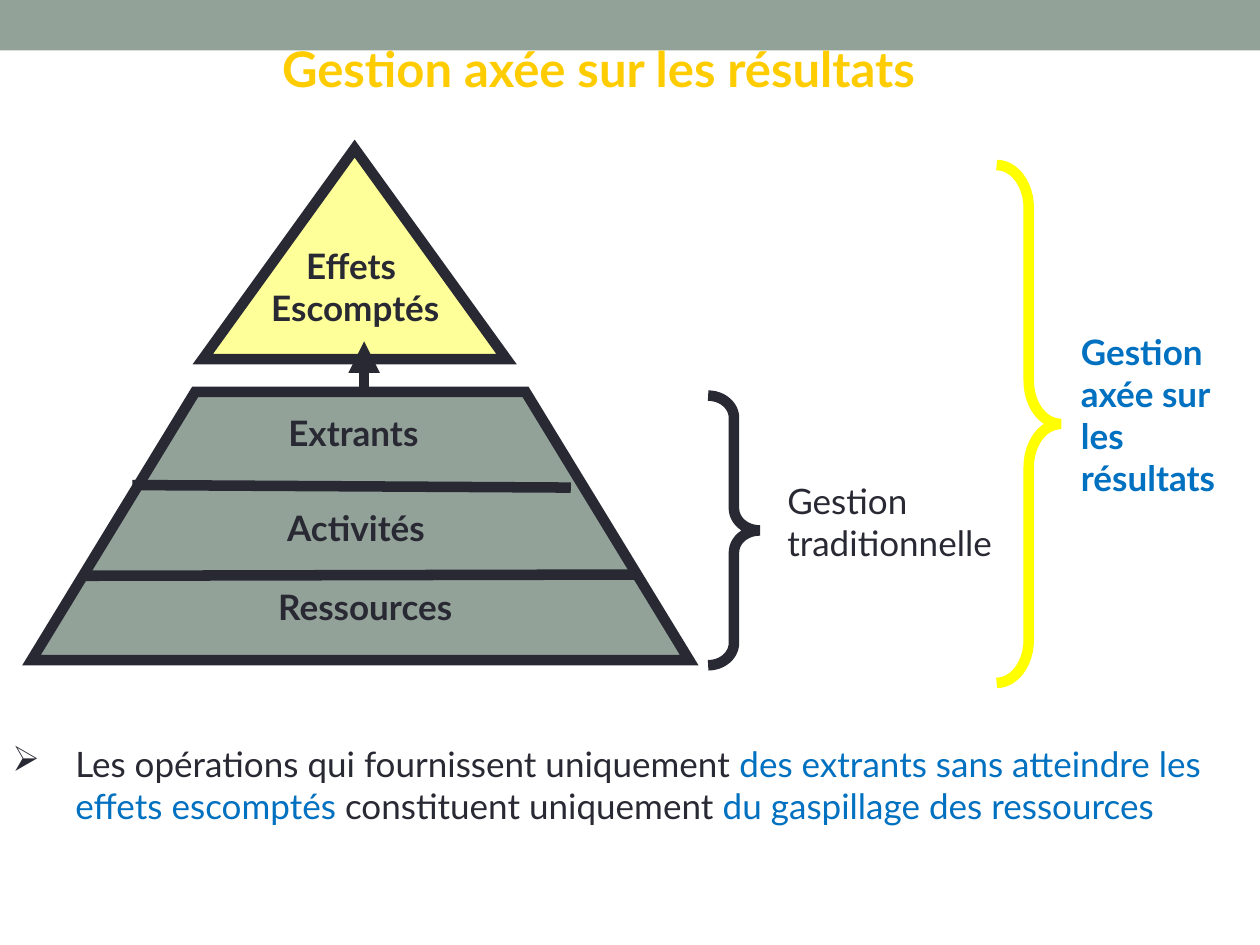
from lxml import etree
from pptx import Presentation
from pptx.dml.color import RGBColor
from pptx.enum.shapes import MSO_CONNECTOR as CONN, MSO_SHAPE as SHAPE
from pptx.enum.text import PP_ALIGN as ALIGN
from pptx.oxml.ns import qn
from pptx.util import Inches, Pt

FONT = "Lato"
DARK, SAGE, BLUE = "292934", "93A299", "0070C0"
GOLD, PALE, YELLOW = "FFCC00", "FFFF99", "FFFF00"


def rgb(color):
    return RGBColor.from_string(color)


def add_child(parent, tag, **attrs):
    return etree.SubElement(parent, qn(tag), attrs)


def set_line(sp, color):
    sp.line.color.rgb = rgb(color)
    sp.line.width = Pt(6)
    add_child(sp.line._ln, "a:miter", lim="800000")


def add_shape(s, kind, x, y, w, h, fill=None, line=None, adjustments=()):
    sp = s.shapes.add_shape(kind, Inches(x), Inches(y), Inches(w), Inches(h))
    sp.shadow.inherit = False
    for i, value in enumerate(adjustments):
        sp.adjustments[i] = value
    if fill:
        sp.fill.solid()
        sp.fill.fore_color.rgb = rgb(fill)
    else:
        sp.fill.background()
    if line:
        set_line(sp, line)
    else:
        sp.line.fill.background()
    return sp


def add_line(s, x1, y1, x2, y2, arrow=False):
    line = s.shapes.add_connector(
        CONN.STRAIGHT, Inches(x1), Inches(y1), Inches(x2), Inches(y2))
    set_line(line, DARK)
    if arrow:
        add_child(line.line._ln, "a:tailEnd", type="triangle")
    add_child(line._element.spPr, "a:effectLst")


def style(p, color, size=20, bold=False):
    p.font.name = FONT
    p.font.size = Pt(size)
    p.font.bold = bold
    p.font.color.rgb = rgb(color)


def add_text(s, lines, x, y, w, h, color=DARK, size=20, bold=False, align=ALIGN.LEFT):
    tf = s.shapes.add_textbox(Inches(x), Inches(y), Inches(w), Inches(h)).text_frame
    tf.word_wrap = True
    for i, text in enumerate(lines):
        p = tf.add_paragraph() if i else tf.paragraphs[0]
        p.text = text
        p.alignment = align
        style(p, color, size, bold)


def add_header(s, x, y, w):
    add_shape(s, SHAPE.RECTANGLE, x, y, w, 0.4, SAGE)
    add_text(s, ["Gestion axée sur les résultats"], x + 2.14, y + 0.26, 5.91, 0.57,
             GOLD, 28, True)


def add_pyramid(s, x, y, w, h):
    # Base with three levels, and the detached top
    base_h = 2.13
    base_y = y + h - base_h
    add_shape(s, SHAPE.TRAPEZOID, x, base_y, w, base_h, SAGE, DARK, [0.61])
    add_shape(s, SHAPE.ISOSCELES_TRIANGLE, x + 1.36, y, 2.41, 1.67, PALE, DARK)

    for label, dx, dy in (("Extrants", 1.94, 0.11), ("Activités", 1.93, 0.86),
                          ("Ressources", 1.86, 1.49)):
        add_text(s, [label], x + dx, base_y + dy, 1.75, 0.44, bold=True)
    add_text(s, ["Effets ", "Escomptés"], x + 1.73, y + 0.71, 1.68, 0.77,
             bold=True, align=ALIGN.CENTER)

    # Level dividers and the arrow up to the effects
    add_line(s, x + 0.8, base_y + 0.74, x + 4.28, base_y + 0.76)
    add_line(s, x + 0.4, base_y + 1.46, x + 4.78, base_y + 1.45)
    add_line(s, x + 2.64, base_y - 0.02, x + 2.64, base_y - 0.4, arrow=True)


def add_brace(s, x, y, w, h, color, curve):
    add_shape(s, SHAPE.RIGHT_BRACE, x, y, w, h, line=color, adjustments=[curve, 0.5])


def add_scopes(s, x, y):
    add_brace(s, x, y + 1.83, 0.41, 2.14, DARK, 0.43)
    add_text(s, ["Gestion", "traditionnelle"], x + 0.53, y + 2.45, 2.19, 0.77)
    add_brace(s, x + 2.29, y, 0.51, 4.11, YELLOW, 0.67)
    add_text(s, ["Gestion", "axée sur les résultats"], x + 2.86, y + 1.26, 1.52, 1.44,
             BLUE, bold=True)


def add_conclusion(s, x, y, w, h):
    tf = s.shapes.add_textbox(Inches(x), Inches(y), Inches(w), Inches(h)).text_frame
    tf.word_wrap = True
    p = tf.paragraphs[0]
    pPr = p._p.get_or_add_pPr()
    pPr.set("marL", str(Inches(0.5)))
    pPr.set("indent", str(-Inches(0.5)))
    add_child(add_child(pPr, "a:buClr"), "a:srgbClr", val=DARK)
    add_child(pPr, "a:buChar", char="➢")
    style(p, DARK)
    for text, color in (
        ("Les opérations qui fournissent uniquement ", DARK),
        ("des extrants sans atteindre les effets escomptés ", BLUE),
        ("constituent uniquement ", DARK),
        ("du gaspillage des ressources", BLUE),
    ):
        r = p.add_run()
        r.text = text
        r.font.color.rgb = rgb(color)


def main():
    prs = Presentation()
    prs.slide_width, prs.slide_height = Inches(10), Inches(7.5)
    s = prs.slides.add_slide(prs.slide_layouts[6])
    add_header(s, 0, 0, 10)
    add_pyramid(s, 0.25, 1.18, 5.22, 4.06)
    add_scopes(s, 5.62, 1.31)
    add_conclusion(s, 0, 5.84, 9.8, 1.1)
    prs.save("out.pptx")


if __name__ == "__main__":
    main()
